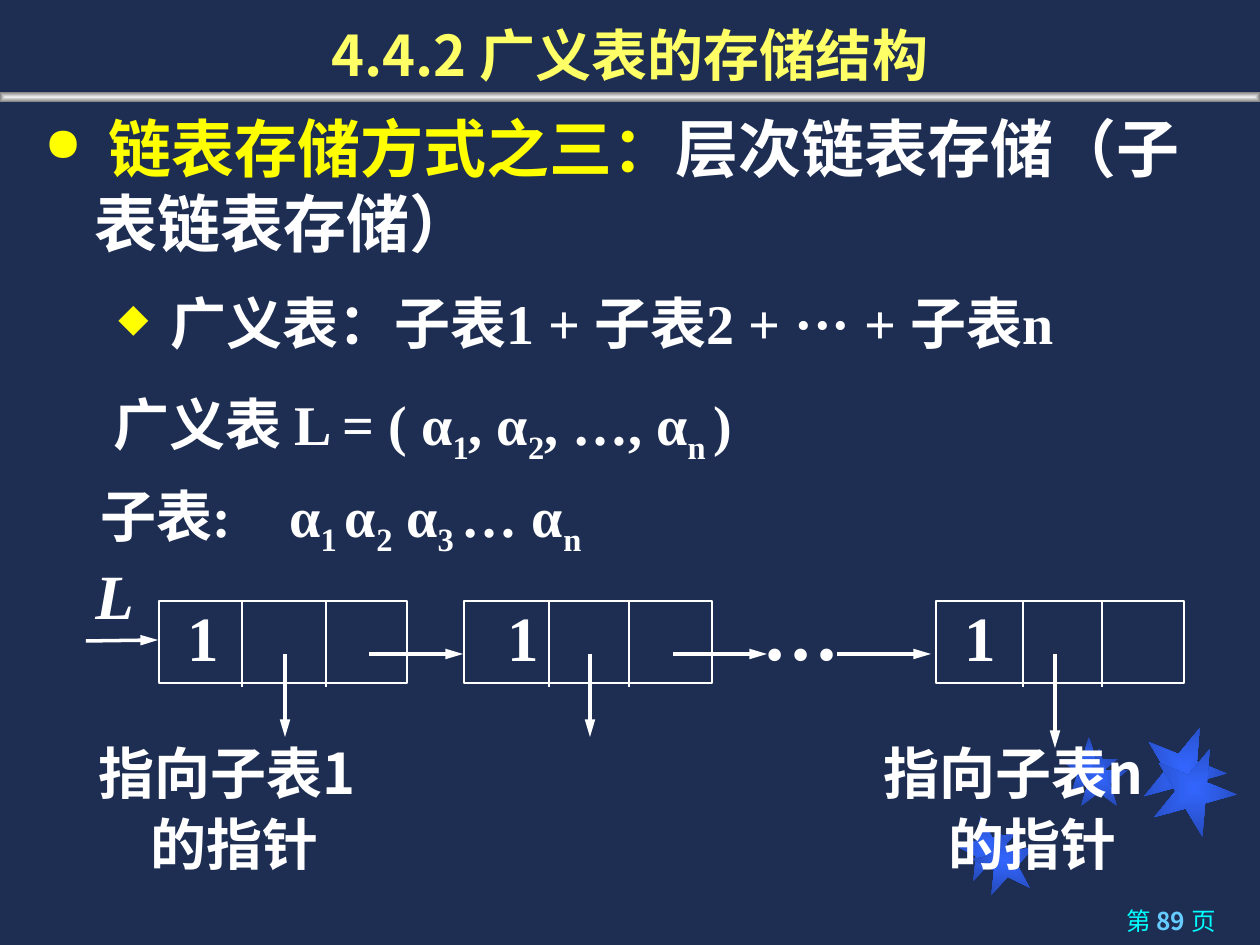
from lxml import etree
from pptx import Presentation, util as u
from pptx.dml.color import RGBColor
from pptx.enum import shapes, text
from pptx.oxml import ns

PX = u.Inches(1) / 126
THEME = dict(
    background="1E2E53", white="FFFFFF", heading="FFFF66", accent="FFFF00",
    page="00FFFF", page_number="66CCFF", star=("3366FF", "2449B6"), rule=("EDEDED", "808080"),
    cjk="Noto Sans CJK SC", serif="Times New Roman", sans="Arial",
    small=14, body=32, large=36, dots=44,
)


def px(*lengths):
    return [u.Emu(round(length * PX)) for length in lengths]


def rgb(name):
    return RGBColor.from_string(THEME.get(name, name))


prs = Presentation()
prs.slide_width, prs.slide_height = px(1260, 945)
slide = prs.slides.add_slide(prs.slide_layouts[6])
slide.background.fill.solid()
slide.background.fill.fore_color.rgb = rgb("background")


def add_paragraph(frame, runs, size="body", font="cjk", color="white", bold=True, indent=0,
                  hanging=0, bullet=None, tab=None, spacing=0.9, before=0):
    """Fill the empty first paragraph or add one; runs are (text, baseline, colour)."""
    para = frame.paragraphs[0]
    if para.runs:
        para = frame.add_paragraph()
    props = para._p.get_or_add_pPr()
    props.set("marL", str(round(indent * PX)))
    props.set("indent", str(round(-hanging * PX)))
    para.line_spacing = spacing
    para.space_before = u.Pt(before)
    if bullet:
        char, percent = bullet
        tint = etree.SubElement(props, ns.qn("a:buClr"))
        etree.SubElement(tint, ns.qn("a:srgbClr"), val=THEME["accent"])
        etree.SubElement(props, ns.qn("a:buSzPct"), val=str(percent * 1000))
        etree.SubElement(props, ns.qn("a:buChar"), char=char)
    if tab:
        tabs = etree.SubElement(props, ns.qn("a:tabLst"))
        etree.SubElement(tabs, ns.qn("a:tab"), pos=str(round(tab * PX)), algn="l")
    para.font.size = u.Pt(THEME[size])
    para.font.name = THEME[font]
    para.font.bold = bold
    para.font.color.rgb = rgb(color)
    etree.SubElement(para.font._element, ns.qn("a:ea"), typeface=THEME["cjk"])
    for words, baseline, tint in runs:
        run = para.add_run()
        run.text = words
        if baseline:
            run.font._element.set("baseline", str(baseline * 1000))
        if tint:
            run.font.color.rgb = rgb(tint)
    return para


def plain(words):
    return [(words, 0, None)]


def subscripted(*parts):
    """Alternate normal and subscript runs."""
    return [(part, -25 * (i % 2), None) for i, part in enumerate(parts)]


# Decorative stars and the rule under the title
ornaments = [(shapes.MSO_SHAPE.STAR_5_POINT, x, y, size, size, turn, "star")
             for x, y, size, turn in [(955, 815, 63, 349), (1060, 737, 58, 0), (1142, 725, 84, 22),
                                      (973, 829, 63, 349), (1070, 748, 58, 0), (1152, 746, 84, 22)]]
ornaments.append((shapes.MSO_SHAPE.RECTANGLE, 0, 92, 1260, 10, 0, "rule"))
for kind, x, y, width, height, turn, colors in ornaments:
    ornament = slide.shapes.add_shape(kind, *px(x, y, width, height))
    ornament.rotation = turn
    ornament.shadow.inherit = False
    ornament.line.fill.background()
    ornament.fill.gradient()
    for stop, color, position in zip(ornament.fill.gradient_stops, THEME[colors], (0, 1)):
        stop.color.rgb = rgb(color)
        stop.position = position
    linear = ornament.fill._xPr.find(".//" + ns.qn("a:lin"))
    radial = etree.Element(ns.qn("a:path"), path="shape")
    etree.SubElement(radial, ns.qn("a:fillToRect"), l="50000", t="50000", r="50000", b="50000")
    linear.getparent().replace(linear, radial)

# Text blocks: place, then paragraphs
blocks = [
    ((0, 0, 1260, 94), [dict(runs=plain("4.4.2 广义表的存储结构"), color="heading", spacing=1)]),
    ((32, 103, 1201, 165), [dict(
        runs=[(" 链表存储方式之三：", 0, "accent"), ("层次链表存储（子表链表存储）", 0, None)],
        size="large", font="sans", indent=50, hanging=50, bullet=("●", 75), spacing=1)]),
    ((43, 276, 1207, 94), [dict(
        runs=plain(" 广义表：子表1 + 子表2 + ··· + 子表n"), font="serif",
        indent=102, hanging=39, bullet=("◆", 70), spacing=1.1)]),
    ((37, 368, 1102, 175), [
        dict(runs=subscripted("广义表 L = ( α", "1", ", α", "2", ", …, α", "n ", ")"),
             font="serif", indent=64, spacing=1.2),
        dict(runs=subscripted("子表:\tα", "1 ", "α", "2", " α", "3 ", "… α", "n"),
             font="serif", indent=51, tab=237, spacing=1.2)]),
    ((86, 740, 310, 149), [dict(runs=plain("指向子表1")),
                           dict(runs=plain("的指针"), indent=52, before=6)]),
    ((871, 740, 339, 149), [dict(runs=plain("指向子表n")),
                            dict(runs=plain("的指针"), indent=65, before=6)]),
    ((83, 559, 64, 82), [dict(runs=plain("L"), size="large", font="serif")]),
    ((750, 588, 103, 97), [dict(runs=plain("…"), size="dots", font="serif")]),
    ((897, 900, 331, 45), [dict(
        runs=[("第 ", 0, None), ("89 ", 0, "page_number"), ("页", 0, None)],
        size="small", color="page", bold=False, spacing=1)]),
]
frames = []
for place, paragraphs in blocks:
    frame = slide.shapes.add_textbox(*px(*place)).text_frame
    frame.word_wrap = True
    for paragraph in paragraphs:
        add_paragraph(frame, **paragraph)
    frames.append(frame)
title, head_pointer, page = frames[0], frames[6], frames[-1]
title.vertical_anchor = text.MSO_ANCHOR.BOTTOM
title.paragraphs[0].alignment = text.PP_ALIGN.CENTER
head_pointer.paragraphs[0].font.italic = True
page.paragraphs[0].alignment = text.PP_ALIGN.RIGHT
page.paragraphs[0].runs[1].font.bold = True

# List nodes: left, tag indent, dividers, pointer x, pointer end
nodes = [(159, 16, (242, 326), 285, 737),
         (464, 31, (549, 629), 590, 737),
         (936, 16, (1023, 1102), 1055, 748)]
arrows = [(86, 641, 158, 640)] + [(x, 654, x + 94, 654) for x in (369, 673, 837)]
dividers = []
for left, tag_indent, columns, pointer, end in nodes:
    node = slide.shapes.add_shape(shapes.MSO_SHAPE.RECTANGLE, *px(left, 601, 248, 82))
    node.shadow.inherit = False
    node.fill.background()
    node.line.color.rgb = rgb("white")
    node.line.width = u.Pt(1.5)
    node.text_frame.vertical_anchor = text.MSO_ANCHOR.TOP
    tag = add_paragraph(node.text_frame, plain("1"), "large", "serif", indent=tag_indent)
    tag.alignment = text.PP_ALIGN.LEFT
    dividers += [(x, 601, x, 687) for x in columns]
    arrows.append((pointer, 654, pointer, end))

for ends, weight in [(d, 0.75) for d in dividers] + [(a, 2) for a in arrows]:
    link = slide.shapes.add_connector(shapes.MSO_CONNECTOR.STRAIGHT, *px(*ends))
    link.line.color.rgb = rgb("white")
    link.line.width = u.Pt(weight)
    if ends in arrows:
        etree.SubElement(link.line._get_or_add_ln(), ns.qn("a:tailEnd"),
                         type="triangle", w="med", len="lg")
    etree.SubElement(link._element.spPr, ns.qn("a:effectLst"))

prs.save("out.pptx")
